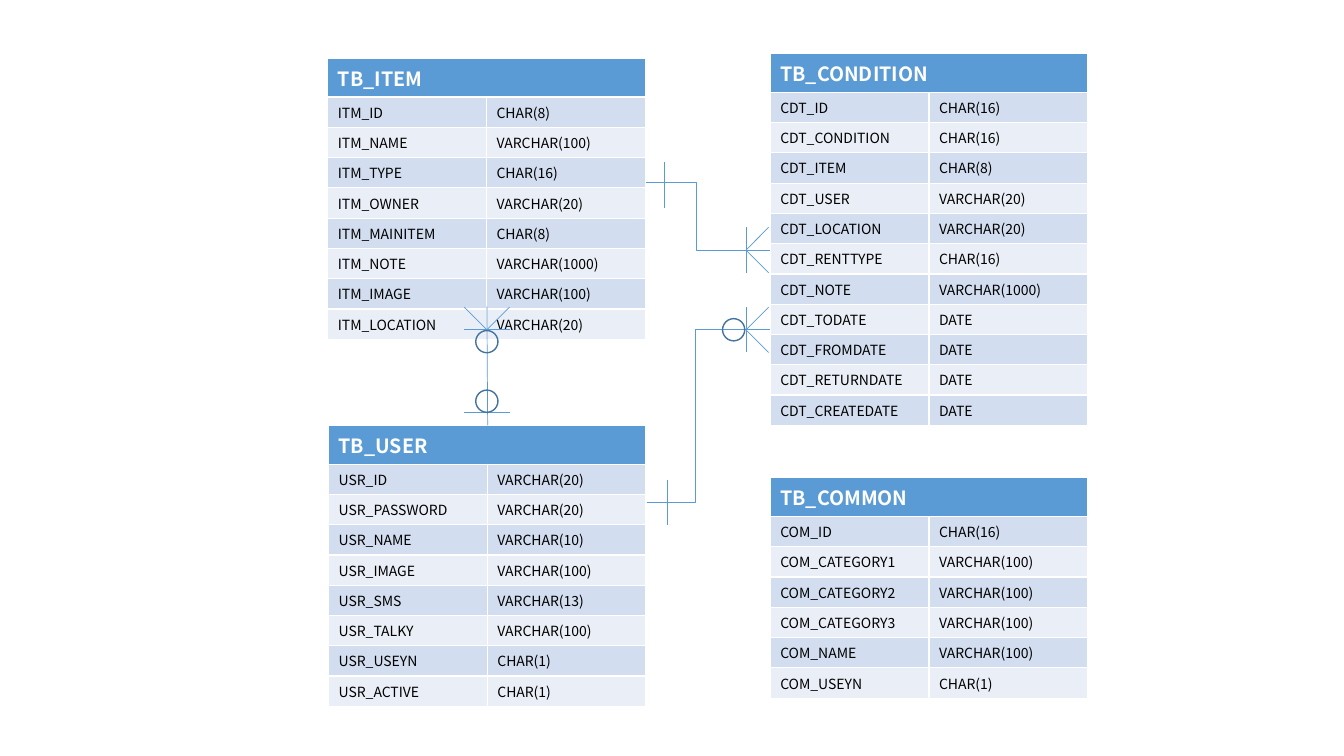
from dataclasses import dataclass

from lxml.etree import SubElement
from pptx import Presentation
from pptx.dml.color import RGBColor
from pptx.enum.shapes import MSO_CONNECTOR, MSO_SHAPE
from pptx.oxml.ns import qn
from pptx.util import Cm, Pt


@dataclass(frozen=True)
class Theme:
    font: str = "Noto Sans CJK KR"
    title_size: float = 14
    body_size: float = 10
    link_width: float = 0.5
    circle_width: float = 1
    header: str = "5B9BD5"
    bands: tuple[str, str] = ("D2DEEF", "EAEFF7")
    link: str = "5B9BD5"
    circle: str = "43739E"
    title_text: str = "FFFFFF"
    body_text: str = "000000"


@dataclass(frozen=True)
class Entity:
    name: str
    left: float
    top: float
    columns: tuple[tuple[str, str], ...]
    header_height: float = 0.79


@dataclass(frozen=True)
class Elbow:
    start: tuple[float, float]
    end: tuple[float, float]
    bend: float  # share of the width at which the line turns


THEME = Theme()
COLUMN_WIDTH = 4.0
ROW_HEIGHT = 0.61
FRAME_ROW, FRAME_HEADER = 0.68, 0.85
REACH = 0.57  # half length of a bar and spread of a crow's foot
CIRCLE_SIZE = 0.56

ENTITIES = (
    Entity("TB_ITEM", 8.26, 1.47, (
        ("ITM_ID", "CHAR(8)"),
        ("ITM_NAME", "VARCHAR(100)"),
        ("ITM_TYPE", "CHAR(16)"),
        ("ITM_OWNER", "VARCHAR(20)"),
        ("ITM_MAINITEM", "CHAR(8)"),
        ("ITM_NOTE", "VARCHAR(1000)"),
        ("ITM_IMAGE", "VARCHAR(100)"),
        ("ITM_LOCATION", "VARCHAR(20)"),
    )),
    Entity("TB_CONDITION", 19.41, 1.35, (
        ("CDT_ID", "CHAR(16)"),
        ("CDT_CONDITION", "CHAR(16)"),
        ("CDT_ITEM", "CHAR(8)"),
        ("CDT_USER", "VARCHAR(20)"),
        ("CDT_LOCATION", "VARCHAR(20)"),
        ("CDT_RENTTYPE", "CHAR(16)"),
        ("CDT_NOTE", "VARCHAR(1000)"),
        ("CDT_TODATE", "DATE"),
        ("CDT_FROMDATE", "DATE"),
        ("CDT_RETURNDATE", "DATE"),
        ("CDT_CREATEDATE", "DATE"),
    )),
    Entity("TB_USER", 8.28, 10.72, (
        ("USR_ID", "VARCHAR(20)"),
        ("USR_PASSWORD", "VARCHAR(20)"),
        ("USR_NAME", "VARCHAR(10)"),
        ("USR_IMAGE", "VARCHAR(100)"),
        ("USR_SMS", "VARCHAR(13)"),
        ("USR_TALKY", "VARCHAR(100)"),
        ("USR_USEYN", "CHAR(1)"),
        ("USR_ACTIVE", "CHAR(1)"),
    ), header_height=0.84),
    Entity("TB_COMMON", 19.41, 12.04, (
        ("COM_ID", "CHAR(16)"),
        ("COM_CATEGORY1", "VARCHAR(100)"),
        ("COM_CATEGORY2", "VARCHAR(100)"),
        ("COM_CATEGORY3", "VARCHAR(100)"),
        ("COM_NAME", "VARCHAR(100)"),
        ("COM_USEYN", "CHAR(1)"),
    )),
)

ELBOWS = (
    Elbow((16.23, 12.67), (20.9, 8.31), 0.28),  # user to condition
    Elbow((16.26, 4.6), (19.41, 6.3), 0.41),  # item to condition
)
ITEM_USER_LINK = ((12.27, 7.72), (12.29, 10.72))
ITEM_FOOT = (12.27, 8.31)
CONDITION_FEET = ((18.8, 6.3), (18.8, 8.31))
HORIZONTAL_BARS = (ITEM_FOOT, (12.27, 10.39))
VERTICAL_BARS = CONDITION_FEET + ((16.74, 4.66), (16.81, 12.67))
CIRCLES = ((12.27, 8.61), (18.49, 8.31), (12.27, 10.11))


def write_cell(cell, text: str, *, size: float, color: str, fill: str, bold: bool = False) -> None:
    cell.fill.solid()
    cell.fill.fore_color.rgb = RGBColor.from_string(fill)
    run = cell.text_frame.paragraphs[0].add_run()
    run.text = text
    run.font.name = THEME.font
    run.font.size = Pt(size)
    run.font.bold = bold
    run.font.color.rgb = RGBColor.from_string(color)


def draw_entity(slide, entity: Entity) -> None:
    count = len(entity.columns)
    frame = slide.shapes.add_table(
        count + 1, 2, Cm(entity.left), Cm(entity.top), Cm(2 * COLUMN_WIDTH), Cm(ROW_HEIGHT * (count + 1)))
    table = frame.table
    for row in table.rows:
        row.height = Cm(ROW_HEIGHT)
    table.rows[0].height = Cm(entity.header_height)
    frame.height = Cm(FRAME_HEADER + FRAME_ROW * count)

    # Header across both columns
    title = table.cell(0, 0)
    title.merge(table.cell(0, 1))
    write_cell(title, entity.name, size=THEME.title_size, color=THEME.title_text,
               fill=THEME.header, bold=True)

    # Banded rows of name and type
    for index, values in enumerate(entity.columns):
        for column, text in enumerate(values):
            write_cell(table.cell(index + 1, column), text, size=THEME.body_size,
                       color=THEME.body_text, fill=THEME.bands[index % 2])


def draw_line(slide, start: tuple[float, float], end: tuple[float, float],
              kind: MSO_CONNECTOR = MSO_CONNECTOR.STRAIGHT):
    connector = slide.shapes.add_connector(kind, *(Cm(value) for value in start + end))
    connector.line.color.rgb = RGBColor.from_string(THEME.link)
    connector.line.width = Pt(THEME.link_width)
    SubElement(connector._element.spPr, qn("a:effectLst"))
    return connector


def draw_elbow(slide, elbow: Elbow) -> None:
    connector = draw_line(slide, elbow.start, elbow.end, MSO_CONNECTOR.ELBOW)
    geometry = connector._element.spPr.find(qn("a:prstGeom"))
    adjustments = geometry.find(qn("a:avLst"))
    if adjustments is None:
        adjustments = SubElement(geometry, qn("a:avLst"))
    SubElement(adjustments, qn("a:gd"), name="adj1", fmla=f"val {round(elbow.bend * 100000)}")


def draw_from(slide, center: tuple[float, float], *offsets: tuple[float, float]) -> None:
    """Draw a line from the first offset around the center to each other one."""
    x, y = center
    first, *others = [(x + across, y + down) for across, down in offsets]
    for other in others:
        draw_line(slide, first, other)


def draw_circle(slide, center: tuple[float, float]) -> None:
    left, top = (Cm(value - CIRCLE_SIZE / 2) for value in center)
    shape = slide.shapes.add_shape(MSO_SHAPE.OVAL, left, top, Cm(CIRCLE_SIZE), Cm(CIRCLE_SIZE))
    shape.shadow.inherit = False
    shape.fill.background()
    shape.line.color.rgb = RGBColor.from_string(THEME.circle)
    shape.line.width = Pt(THEME.circle_width)


def main() -> None:
    presentation = Presentation()
    presentation.slide_width, presentation.slide_height = Cm(33.87), Cm(19.05)
    slide = presentation.slides.add_slide(presentation.slide_layouts[6])

    # Relations lie under the tables
    for elbow in ELBOWS:
        draw_elbow(slide, elbow)
    for entity in ENTITIES:
        draw_entity(slide, entity)
    draw_line(slide, *ITEM_USER_LINK)

    # Cardinality marks: crow's feet, bars, circles
    for foot in CONDITION_FEET:
        draw_from(slide, foot, (0, 0), (REACH, -REACH), (REACH, REACH))
    draw_from(slide, ITEM_FOOT, (0, 0), (-REACH, -REACH), (REACH, -REACH))
    for bar in HORIZONTAL_BARS:
        draw_from(slide, bar, (-REACH, 0), (REACH, 0))
    for bar in VERTICAL_BARS:
        draw_from(slide, bar, (0, -REACH), (0, REACH))
    for circle in CIRCLES:
        draw_circle(slide, circle)

    presentation.save("out.pptx")


if __name__ == "__main__":
    main()
